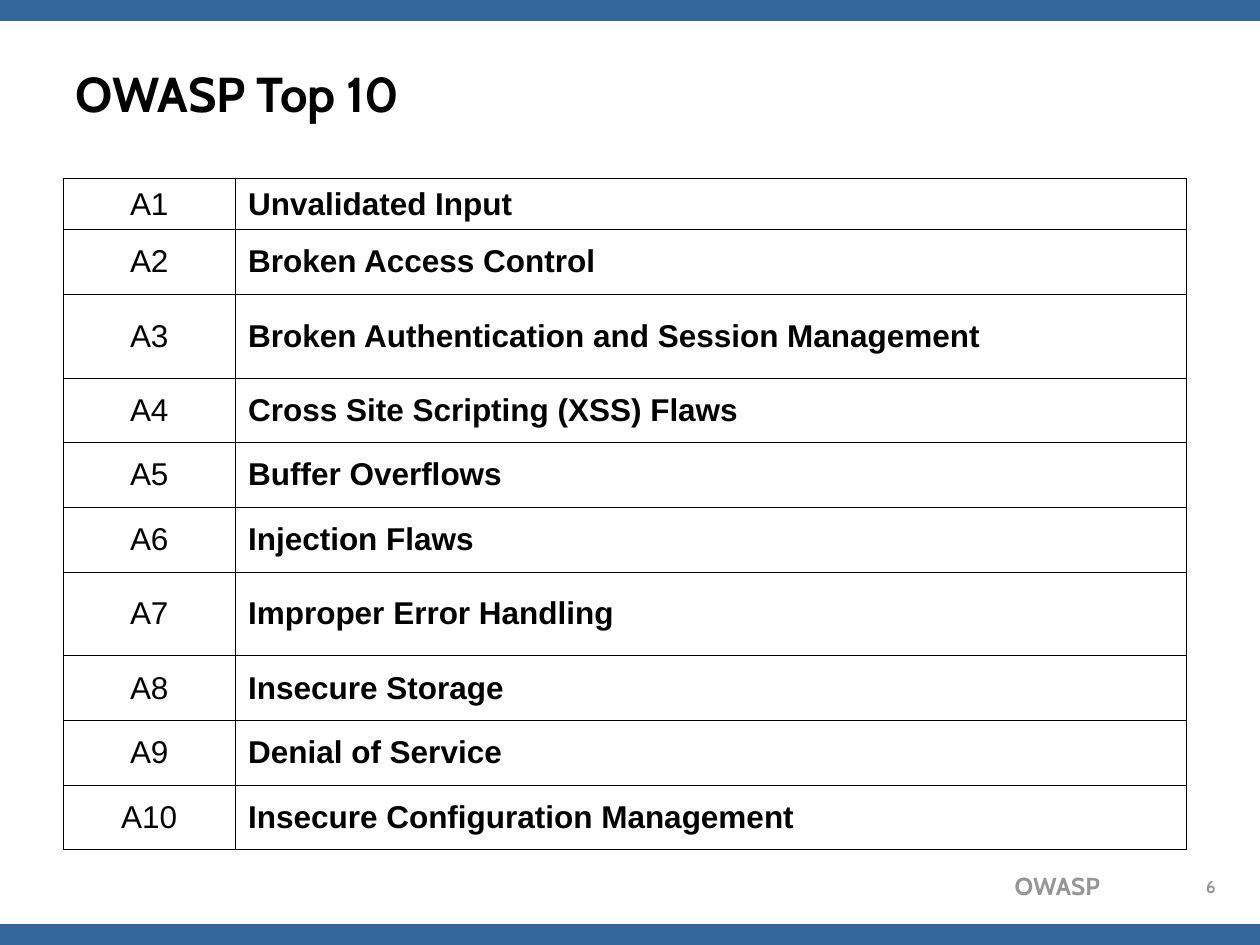
from dataclasses import dataclass

import pptx
import pptx.dml.color
import pptx.enum.shapes
import pptx.enum.text
import pptx.oxml
import pptx.oxml.ns
import pptx.util

Pt = pptx.util.Pt
RGB = pptx.dml.color.RGBColor
ALIGN = pptx.enum.text.PP_ALIGN
ANCHOR = pptx.enum.text.MSO_ANCHOR


@dataclass(frozen=True)
class Theme:
    bar: str = "336699"
    ink: str = "000000"
    muted: str = "969696"
    heading_font: str = "Cabin"
    body_font: str = "Arial"
    title_size: float = 28
    body_size: float = 18
    footer_size: float = 14
    number_size: float = 10
    border: float = 0.45


@dataclass(frozen=True)
class Label:
    text: str
    left: float
    top: float
    width: float
    height: float
    size: float
    color: str
    align: ALIGN = ALIGN.LEFT
    anchor: ANCHOR = ANCHOR.TOP


@dataclass(frozen=True)
class Risk:
    name: str
    height: float = 36.9


THEME = Theme()
WIDTH, HEIGHT = 720, 540
BAR_HEIGHT = 12
TABLE_LEFT, TABLE_TOP = 36, 102.2
COLUMNS = (98.6, 543.2)
HANGING = 27

LABELS = (
    Label("OWASP", 447.8, 493.9, 187.9, 24, THEME.footer_size, THEME.muted, ALIGN.RIGHT),
    Label("OWASP Top 10", 36, 21.6, 648, 62.6, THEME.title_size, THEME.ink,
          anchor=ANCHOR.MIDDLE),
    Label("6", 676.1, 496.8, 31.7, 18, THEME.number_size, THEME.muted, ALIGN.CENTER),
)

RISKS = (
    Risk("Unvalidated Input", 29.1),
    Risk("Broken Access Control"),
    Risk("Broken Authentication and Session Management", 48),
    Risk("Cross Site Scripting (XSS) Flaws"),
    Risk("Buffer Overflows"),
    Risk("Injection Flaws"),
    Risk("Improper Error Handling", 48),
    Risk("Insecure Storage"),
    Risk("Denial of Service"),
    Risk("Insecure Configuration Management"),
)


def style(p, font: str, size: float, color: str, bold: bool, align: ALIGN) -> None:
    p.alignment = align
    p.font.name = font
    p.font.size = Pt(size)
    p.font.bold = bold
    p.font.color.rgb = RGB.from_string(color)


def add_bar(s, top: float) -> None:
    sp = s.shapes.add_shape(pptx.enum.shapes.MSO_SHAPE.RECTANGLE,
                            Pt(0), Pt(top), Pt(WIDTH), Pt(BAR_HEIGHT))
    sp.shadow.inherit = False
    sp.fill.solid()
    sp.fill.fore_color.rgb = RGB.from_string(THEME.bar)
    sp.line.fill.background()


def add_label(s, label: Label) -> None:
    sp = s.shapes.add_textbox(Pt(label.left), Pt(label.top), Pt(label.width), Pt(label.height))
    tf = sp.text_frame
    tf.word_wrap = True
    tf.vertical_anchor = label.anchor
    tf.text = label.text
    style(tf.paragraphs[0], THEME.heading_font, label.size, label.color, True, label.align)


def add_borders(cell) -> None:
    tc_pr = cell._tc.get_or_add_tcPr()
    for index, side in enumerate(("lnL", "lnR", "lnT", "lnB")):
        line = pptx.oxml.parse_xml(
            f'<a:{side} {pptx.oxml.ns.nsdecls("a")} w="{Pt(THEME.border)}"><a:solidFill>'
            f'<a:srgbClr val="{THEME.ink}"/></a:solidFill></a:{side}>')
        tc_pr.insert(index, line)


def fill_cell(cell, text: str, bold: bool, align: ALIGN) -> None:
    cell.fill.background()
    cell.vertical_anchor = ANCHOR.MIDDLE
    cell.text = text
    p = cell.text_frame.paragraphs[0]
    p_pr = p._p.get_or_add_pPr()
    p_pr.set("marL", str(Pt(HANGING)))
    p_pr.set("indent", str(-Pt(HANGING)))
    style(p, THEME.body_font, THEME.body_size, THEME.ink, bold, align)
    add_borders(cell)


def add_risk_table(s, risks: tuple[Risk, ...]) -> None:
    height = sum(risk.height for risk in risks)
    table = s.shapes.add_table(len(risks), len(COLUMNS), Pt(TABLE_LEFT), Pt(TABLE_TOP),
                               Pt(sum(COLUMNS)), Pt(height)).table
    table.first_row = table.horz_banding = False
    for column, width in zip(table.columns, COLUMNS):
        column.width = Pt(width)
    for i, risk in enumerate(risks):
        table.rows[i].height = Pt(risk.height)
        fill_cell(table.cell(i, 0), f"A{i + 1}", False, ALIGN.CENTER)
        fill_cell(table.cell(i, 1), risk.name, True, ALIGN.LEFT)


def main() -> None:
    prs = pptx.Presentation()
    prs.slide_width, prs.slide_height = Pt(WIDTH), Pt(HEIGHT)
    s = prs.slides.add_slide(prs.slide_layouts[6])

    # Bars along the top and bottom edges
    for top in (0, HEIGHT - BAR_HEIGHT):
        add_bar(s, top)

    # Footer, title and page number
    for label in LABELS:
        add_label(s, label)

    # Ranked list of risks
    add_risk_table(s, RISKS)

    prs.save("out.pptx")


if __name__ == "__main__":
    main()
